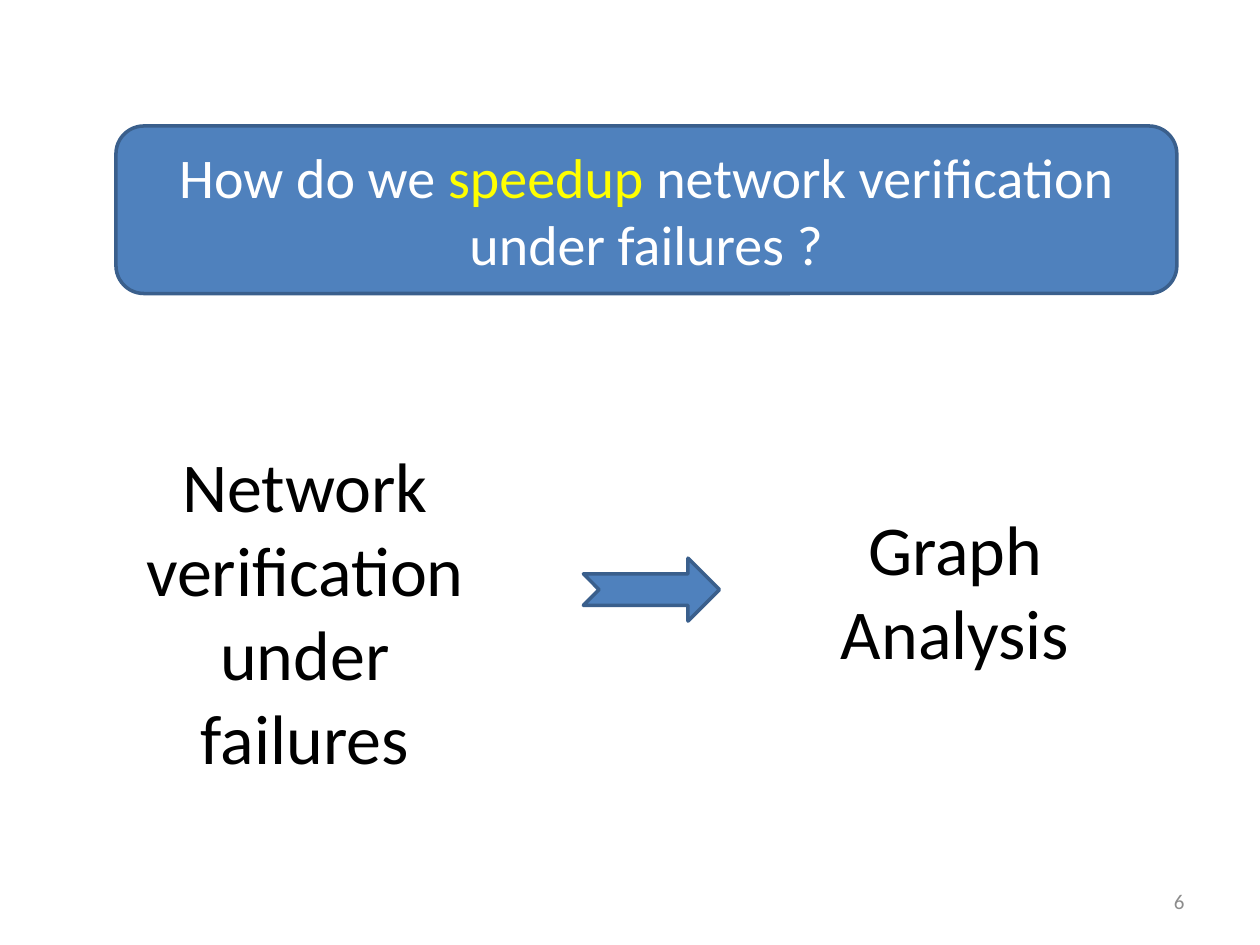
from typing import NamedTuple

from pptx import Presentation
from pptx.dml.color import RGBColor
from pptx.enum.shapes import MSO_SHAPE
from pptx.enum.text import MSO_ANCHOR, PP_ALIGN
from pptx.util import Inches, Pt

FONT = "Calibri"
BLUE, DARK_BLUE = "4F81BD", "3A5F8C"
WHITE, YELLOW, BLACK, GRAY = "FFFFFF", "FFFF00", "000000", "8C8C8C"


class Box(NamedTuple):
    left: float
    top: float
    width: float
    height: float

    def lengths(self) -> list:
        return [Inches(value) for value in self]


class Label(NamedTuple):
    box: Box
    text: str
    size: int
    color: str = BLACK
    alignment: PP_ALIGN = PP_ALIGN.CENTER
    anchor: MSO_ANCHOR = MSO_ANCHOR.TOP


def rgb(color: str) -> RGBColor:
    return RGBColor.from_string(color)


def format_run(run, size: int, color: str) -> None:
    run.font.name = FONT
    run.font.size = Pt(size)
    run.font.color.rgb = rgb(color)


def add_label(shapes, label: Label) -> None:
    text_frame = shapes.add_textbox(*label.box.lengths()).text_frame
    text_frame.word_wrap = True
    text_frame.vertical_anchor = label.anchor
    text_frame.text = label.text
    for paragraph in text_frame.paragraphs:
        paragraph.alignment = label.alignment
        for run in paragraph.runs:
            format_run(run, label.size, label.color)


def add_blue_shape(shapes, kind: MSO_SHAPE, box: Box):
    shape = shapes.add_shape(kind, *box.lengths())
    shape.shadow.inherit = False
    shape.fill.solid()
    shape.fill.fore_color.rgb = rgb(BLUE)
    shape.line.color.rgb = rgb(DARK_BLUE)
    shape.line.width = Pt(2)
    return shape


def add_question(shapes) -> None:
    banner = add_blue_shape(shapes, MSO_SHAPE.ROUNDED_RECTANGLE, Box(0.92, 1, 8.42, 1.33))
    text_frame = banner.text_frame
    text_frame.word_wrap = True
    text_frame.vertical_anchor = MSO_ANCHOR.MIDDLE
    paragraph = text_frame.paragraphs[0]
    paragraph.alignment = PP_ALIGN.CENTER
    for text, color in (
        ("How do we ", WHITE),
        ("speedup", YELLOW),
        (" network verification under failures ?", WHITE),
    ):
        run = paragraph.add_run()
        run.text = text
        format_run(run, 32, color)


def add_reduction(shapes) -> None:
    """Group the problem, the arrow and what the problem turns into."""
    group = shapes.add_group_shape()
    problem = Label(Box(0.88, 3.46, 3.08, 2.79), "Network verification under failures", 40)
    analysis = Label(Box(6.04, 3.96, 3.08, 1.45), "Graph\nAnalysis", 40)
    add_label(group.shapes, problem)
    add_blue_shape(group.shapes, MSO_SHAPE.NOTCHED_RIGHT_ARROW, Box(4.63, 4.43, 1.08, 0.5))
    add_label(group.shapes, analysis)


def main() -> None:
    presentation = Presentation()
    presentation.slide_width = Inches(10)
    presentation.slide_height = Inches(7.5)
    slide = presentation.slides.add_slide(presentation.slide_layouts[6])
    slide_number = Label(
        Box(7.17, 6.95, 2.33, 0.4), "6", 12, GRAY, PP_ALIGN.RIGHT, MSO_ANCHOR.MIDDLE
    )
    add_label(slide.shapes, slide_number)
    add_question(slide.shapes)
    add_reduction(slide.shapes)
    presentation.save("out.pptx")


if __name__ == "__main__":
    main()
